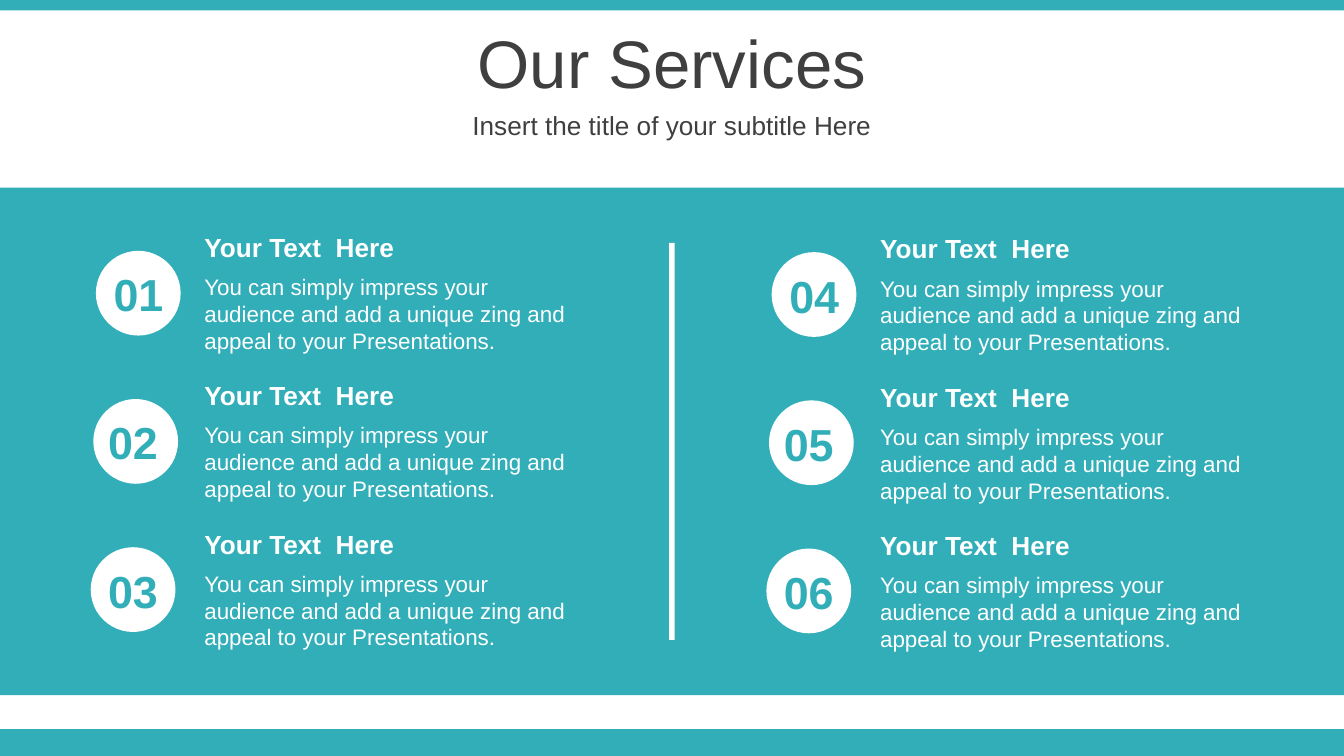
from pptx import Presentation
from pptx.dml import color
from pptx.enum import shapes, text
from pptx.util import Pt

TEAL, WHITE, GREY = "32AEB8", "FFFFFF", "3F3F3F"
LEFT, CENTER = text.PP_ALIGN.LEFT, text.PP_ALIGN.CENTER
TOP, MIDDLE = text.MSO_ANCHOR.TOP, text.MSO_ANCHOR.MIDDLE
RECTANGLE, OVAL = shapes.MSO_SHAPE.RECTANGLE, shapes.MSO_SHAPE.OVAL


def add_filled(kind, left, top, width, height, fill):
    shape = page.shapes.add_shape(kind, Pt(left), Pt(top), Pt(width), Pt(height))
    shape.shadow.inherit = False
    shape.fill.solid()
    shape.fill.fore_color.rgb = color.RGBColor.from_string(fill)
    shape.line.fill.background()


def add_text(parent, words, left, top, width, height, size, ink,
             bold=False, align=LEFT, anchor=TOP):
    """Add a one-run text box to the slide or to a group."""
    box = parent.shapes.add_textbox(Pt(left), Pt(top), Pt(width), Pt(height))
    frame = box.text_frame
    frame.word_wrap = True
    frame.vertical_anchor = anchor
    para = frame.paragraphs[0]
    para.alignment = align
    span = para.add_run()
    span.text = words
    span.font.name = "Arial"
    span.font.size = Pt(size)
    span.font.bold = bold
    span.font.color.rgb = color.RGBColor.from_string(ink)


deck = Presentation()
deck.slide_width, deck.slide_height = Pt(720), Pt(405)
page = deck.slides.add_slide(deck.slide_layouts[6])

# Bands across the page: footer, header, main panel
for top, height in ((390.7, 14.3), (0, 5.6), (100.5, 272)):
    add_filled(RECTANGLE, 0, top, 720, height, TEAL)

add_text(page, "Our Services", 0, 10.2, 720, 45.4, 36, GREY,
         align=CENTER, anchor=MIDDLE)
add_text(page, "Insert the title of your subtitle Here", 0, 55.6, 720, 22.7, 14, GREY,
         align=CENTER, anchor=MIDDLE)
add_filled(RECTANGLE, 358.5, 130.2, 3, 212.6, WHITE)

# Six services: two columns of three, the right column set slightly lower
number_lefts = (49, 46.1, 46.1)
for index in range(6):
    column, row = divmod(index, 3)
    across = column * 362
    down = column * 0.7 + row * 79.4

    add_filled(OVAL, 51.4 - row * 1.4 + across, 134.4 + down, 45.4, 45.4, WHITE)
    add_text(page, f"{index + 1:02}", number_lefts[row] + across, 139.5 + down,
             50.4, 36, 24, TEAL, bold=True, align=CENTER)

    service = page.shapes.add_group_shape()
    add_text(service, "You can simply impress your audience and add a unique zing "
             "and appeal to your Presentations.",
             102.4 + across, 142.9 + down, 209.5, 51, 12, WHITE)
    add_text(service, "Your Text  Here", 102.4 + across, 120.5 + down,
             209.5, 24.2, 14, WHITE, bold=True)

deck.save("out.pptx")
